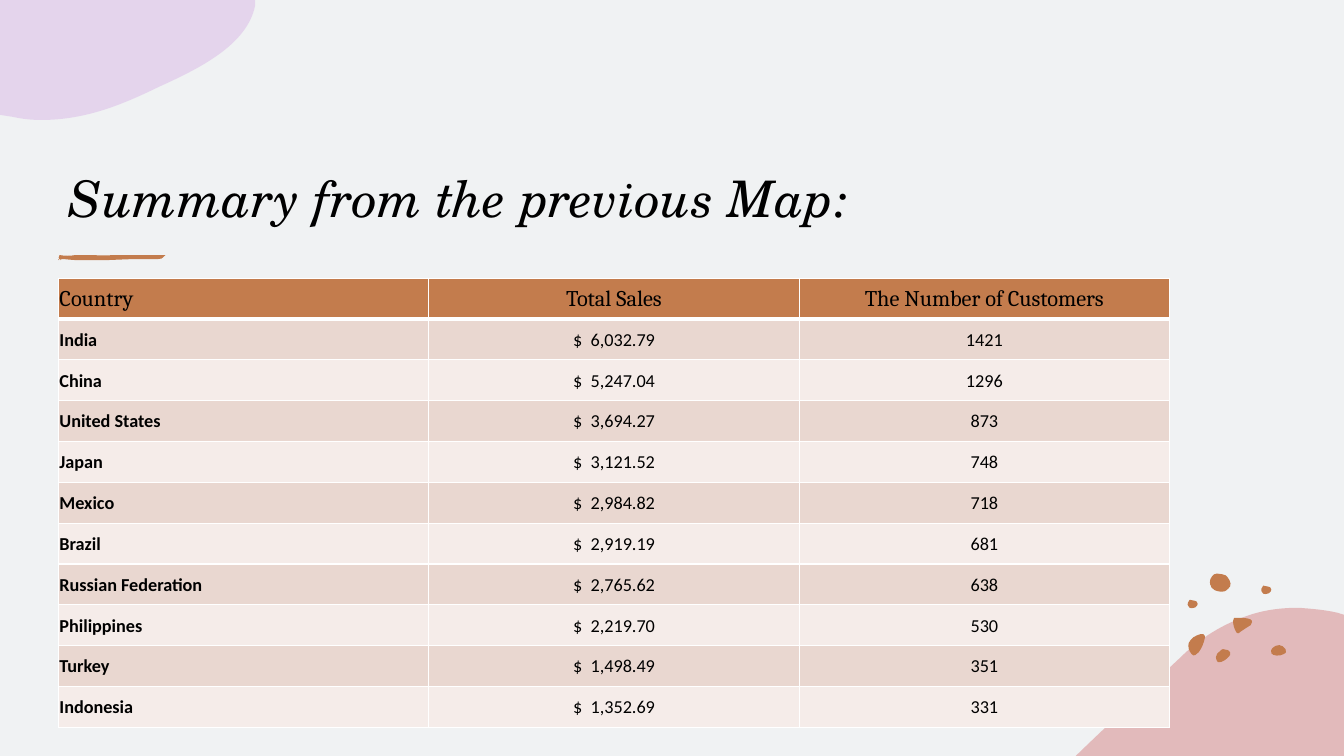
from lxml.etree import SubElement
from pptx import Presentation
from pptx.dml.color import RGBColor
from pptx.enum.text import MSO_ANCHOR, PP_ALIGN
from pptx.oxml.ns import qn
from pptx.util import Inches, Pt

COLORS = {
    "background": "F0F2F3", "rose": "D68485", "lilac": "DAB8E7",
    "copper": "C37C4D", "band_dark": "E9D7D0", "band_light": "F5ECE9",
    "border": "FFFFFF", "text": "000000",
}
HEADINGS = ("Country", "Total Sales", "The Number of Customers")
COUNTRIES = [
    ("India", 6032.79, 1421), ("China", 5247.04, 1296),
    ("United States", 3694.27, 873), ("Japan", 3121.52, 748),
    ("Mexico", 2984.82, 718), ("Brazil", 2919.19, 681),
    ("Russian Federation", 2765.62, 638), ("Philippines", 2219.70, 530),
    ("Turkey", 1498.49, 351), ("Indonesia", 1352.69, 331),
]
ROSE_HILL = [
    (12.88, 6.03), (13.01, 6.04, 13.14, 6.05, 13.27, 6.08), (13.33, 6.1),
    (13.33, 7.5), (10.67, 7.5), (10.68, 7.49),
    (11.02, 7.16, 11.37, 6.84, 11.69, 6.54),
    (11.91, 6.32, 12.14, 6.19, 12.37, 6.11),
    (12.54, 6.05, 12.71, 6.03, 12.88, 6.03),
]
LILAC_CORNER = [
    (0, 0), (2.53, 0), (2.53, 0.06), (2.45, 0.44, 2, 0.67, 1.58, 0.86),
    (1.23, 1.03, 0.86, 1.19, 0.41, 1.19),
    (0.31, 1.19, 0.22, 1.18, 0.13, 1.16), (0, 1.14), (0, 0),
]
SMALL_PEBBLE = [
    (12.51, 5.86), (12.51, 5.86, 12.51, 5.82, 12.53, 5.81),
    (12.55, 5.81, 12.56, 5.81, 12.58, 5.82),
    (12.59, 5.82, 12.61, 5.83, 12.61, 5.85),
    (12.61, 5.86, 12.6, 5.88, 12.59, 5.88),
    (12.59, 5.88, 12.59, 5.89, 12.57, 5.89),
    (12.56, 5.89, 12.54, 5.9, 12.53, 5.89),
    (12.52, 5.87, 12.51, 5.87, 12.51, 5.86),
]
PEBBLES = [
    [(12.13, 6.44), (12.15, 6.44, 12.16, 6.44, 12.18, 6.45),
     (12.2, 6.46, 12.21, 6.48, 12.2, 6.5),
     (12.18, 6.53, 12.12, 6.58, 12.08, 6.57),
     (12.07, 6.56, 12.06, 6.54, 12.06, 6.52),
     (12.06, 6.5, 12.08, 6.47, 12.1, 6.46),
     (12.11, 6.45, 12.12, 6.44, 12.13, 6.44)],
    [(11.91, 6.29), (11.93, 6.29, 11.95, 6.29, 11.95, 6.31),
     (11.95, 6.32, 11.95, 6.32, 11.95, 6.33),
     (11.94, 6.38, 11.92, 6.43, 11.89, 6.47),
     (11.87, 6.49, 11.84, 6.52, 11.82, 6.49),
     (11.79, 6.46, 11.78, 6.41, 11.79, 6.38),
     (11.8, 6.35, 11.82, 6.34, 11.84, 6.32),
     (11.85, 6.32, 11.88, 6.29, 11.91, 6.29)],
    [(12.69, 6.4), (12.71, 6.4, 12.74, 6.42, 12.75, 6.44),
     (12.76, 6.46, 12.76, 6.48, 12.73, 6.49),
     (12.7, 6.51, 12.62, 6.51, 12.61, 6.48),
     (12.6, 6.46, 12.61, 6.44, 12.62, 6.43),
     (12.64, 6.41, 12.66, 6.4, 12.69, 6.4)],
    [(12.01, 5.81), (12, 5.81, 11.99, 5.75, 12.02, 5.72),
     (12.04, 5.7, 12.04, 5.69, 12.07, 5.69),
     (12.1, 5.69, 12.14, 5.7, 12.16, 5.71),
     (12.18, 5.73, 12.22, 5.78, 12.2, 5.82),
     (12.17, 5.85, 12.16, 5.87, 12.12, 5.87),
     (12.09, 5.87, 12.04, 5.86, 12.03, 5.84),
     (12.01, 5.83, 12.01, 5.82, 12.01, 5.81)],
    [(12.28, 6.13), (12.34, 6.13, 12.45, 6.13, 12.41, 6.19),
     (12.41, 6.2, 12.4, 6.21, 12.39, 6.21),
     (12.36, 6.23, 12.33, 6.25, 12.3, 6.27),
     (12.29, 6.28, 12.28, 6.29, 12.27, 6.28),
     (12.27, 6.28, 12.26, 6.27, 12.26, 6.27),
     (12.24, 6.23, 12.23, 6.2, 12.23, 6.16),
     (12.23, 6.15, 12.23, 6.14, 12.24, 6.13), (12.28, 6.13)],
]
UNDERLINE = [
    (0.59, 2.53), (0.64, 2.54, 0.7, 2.54, 0.75, 2.53), (0.88, 2.53),
    (0.94, 2.53, 1.06, 2.54, 1.11, 2.53), (1.64, 2.53),
    (1.61, 2.54, 1.63, 2.57, 1.57, 2.57), (1.33, 2.57), (1.07, 2.58),
    (0.75, 2.58), (0.71, 2.58, 0.65, 2.57, 0.61, 2.57),
    (0.57, 2.58, 0.58, 2.54, 0.59, 2.53),
]
BRUSH_SPECK = [(0, 0), (0.01, 0), (0, 0.01), (0, 0)]
SPECK_SPOTS = ((0.58, 2.57), (0.6, 2.57), (1.63, 2.53))


def rgb(name):
    return RGBColor.from_string(COLORS[name])


def bend_segments(blob, outline):
    lines = list(blob._element.iter(qn("a:lnTo")))
    left = min(segment[-2] for segment in outline)
    top = min(segment[-1] for segment in outline)
    for line, segment in zip(lines, outline[1:]):
        if len(segment) == 6:
            curve = line.makeelement(qn("a:cubicBezTo"))
            for x, y in zip(segment[::2], segment[1::2]):
                SubElement(curve, qn("a:pt"),
                           x=str(Inches(x - left)), y=str(Inches(y - top)))
            line.getparent().replace(line, curve)


def add_blob(slide, outline, color, alpha=None, shift=(0, 0)):
    anchors = [(Inches(segment[-2] + shift[0]), Inches(segment[-1] + shift[1]))
               for segment in outline]
    builder = slide.shapes.build_freeform(*anchors[0])
    builder.add_line_segments(anchors[1:], close=True)
    blob = builder.convert_to_shape()
    bend_segments(blob, outline)
    blob.shadow.inherit = False
    blob.fill.solid()
    blob.fill.fore_color.rgb = rgb(color)
    blob.line.fill.background()
    if alpha is not None:
        fill_color = blob.fill._xPr.find(qn("a:solidFill"))[0]
        SubElement(fill_color, qn("a:alpha"), val=str(alpha * 1000))


def write(frame, text, font, size, bold=False, italic=False, align=PP_ALIGN.LEFT):
    paragraph = frame.paragraphs[0]
    paragraph.alignment = align
    run = paragraph.add_run()
    run.text = text
    run.font.name = font
    run.font.size = Pt(size)
    run.font.bold = bold
    run.font.italic = italic
    run.font.color.rgb = rgb("text")


def add_title(slide, text):
    title = slide.shapes.title
    title.left, title.top = Inches(0.58), Inches(0.86)
    title.width, title.height = Inches(11.02), Inches(1.45)
    title.text_frame.word_wrap = True
    title.text_frame.vertical_anchor = MSO_ANCHOR.BOTTOM
    write(title.text_frame, text, font="TeX Gyre Schola", size=36, italic=True)


def style_cell(cell, fill, top=1, bottom=1):
    cell.vertical_anchor = MSO_ANCHOR.MIDDLE
    cell.margin_left = cell.margin_right = cell.margin_top = Inches(0.01)
    cell.margin_bottom = 0
    properties = cell._tc.get_or_add_tcPr()
    for side, width in (("L", 1), ("R", 1), ("T", top), ("B", bottom)):
        border = SubElement(properties, qn(f"a:ln{side}"), w=str(Pt(width)))
        paint = SubElement(border, qn("a:solidFill"))
        SubElement(paint, qn("a:srgbClr"), val=COLORS["border"])
    cell.fill.solid()
    cell.fill.fore_color.rgb = rgb(fill)


def add_sales_table(slide):
    rows = [HEADINGS] + [(country, f" $  {sales:,.2f} ", str(customers))
                         for country, sales, customers in COUNTRIES]
    table = slide.shapes.add_table(
        len(rows), len(HEADINGS), Inches(0.58), Inches(2.76),
        Inches(11.02), Inches(4.46)).table
    for r, values in enumerate(rows):
        header = r == 0
        band = "copper" if header else ("band_light", "band_dark")[r % 2]
        for c, value in enumerate(values):
            cell = table.cell(r, c)
            style_cell(cell, band, top=3 if r == 1 else 1, bottom=3 if header else 1)
            write(cell.text_frame, value,
                  font="Cambria" if header else "Calibri",
                  size=16 if header else 13,
                  bold=c == 0 and not header,
                  align=PP_ALIGN.CENTER if c else PP_ALIGN.LEFT)


def main():
    presentation = Presentation()
    presentation.slide_width = Inches(13.33)
    presentation.slide_height = Inches(7.5)
    slide = presentation.slides.add_slide(presentation.slide_layouts[5])
    slide.background.fill.solid()
    slide.background.fill.fore_color.rgb = rgb("background")
    add_blob(slide, ROSE_HILL, "rose", alpha=50)
    for pebble in PEBBLES:
        add_blob(slide, pebble, "copper")
    for shift in ((0, 0), (-0.73, 0.14)):
        add_blob(slide, SMALL_PEBBLE, "copper", shift=shift)
    add_blob(slide, LILAC_CORNER, "lilac", alpha=50)
    for spot in SPECK_SPOTS:
        add_blob(slide, BRUSH_SPECK, "copper", shift=spot)
    add_blob(slide, UNDERLINE, "copper")
    add_title(slide, "Summary from the previous Map:")
    add_sales_table(slide)
    presentation.save("out.pptx")


if __name__ == "__main__":
    main()
